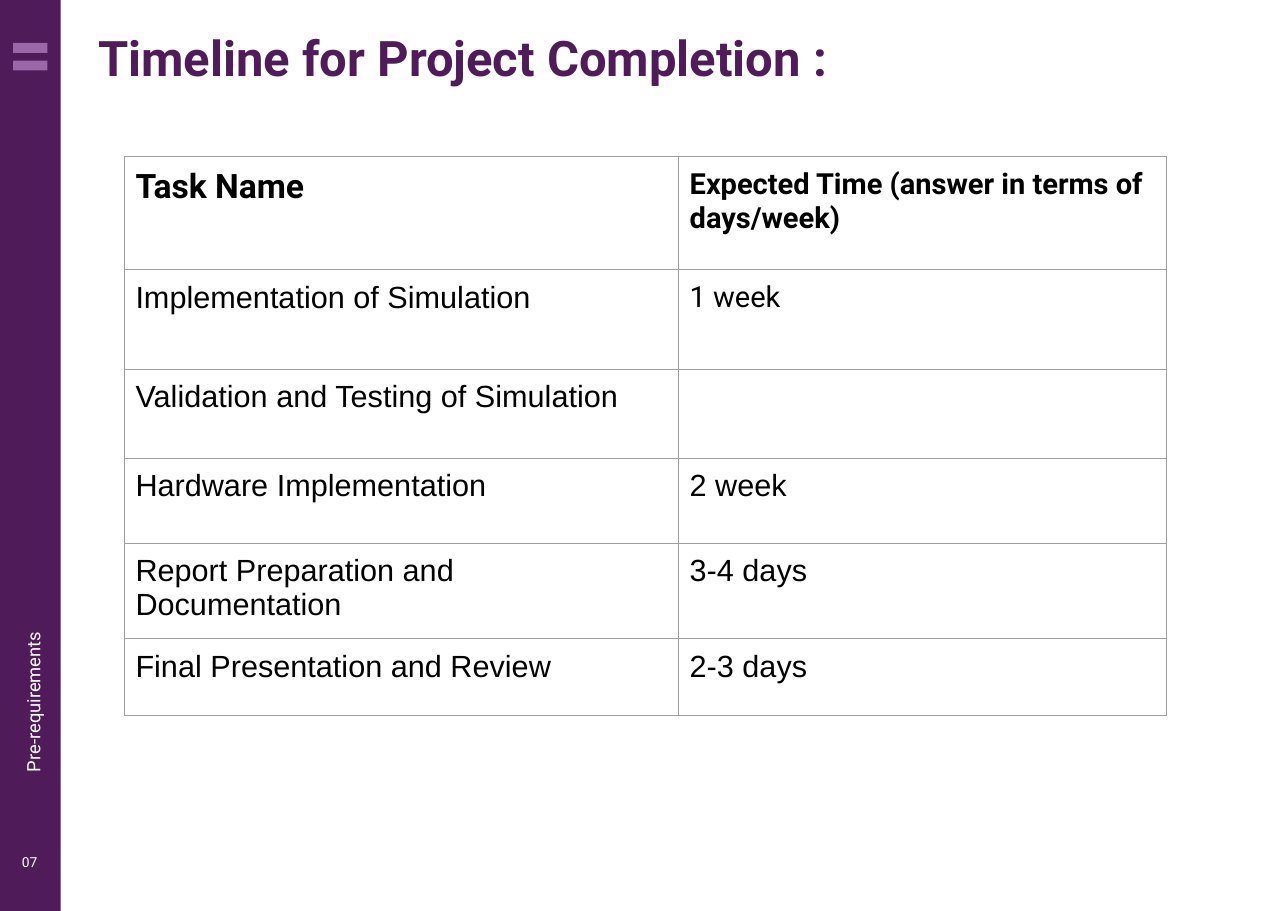
import pptx
import pptx.dml.color
import pptx.enum.shapes
import pptx.enum.text
import pptx.oxml
import pptx.oxml.ns
import pptx.util
from pptx.util import Inches

COLORS = {
    "purple": "4F1B59",
    "lilac": "9C67A8",
    "white": "FFFFFF",
    "black": "000000",
    "grid": "9E9E9E",
}
COLUMN_WIDTHS = [5.03, 4.43]
# Each row: height, then text, font, size and bold for each cell
TASK_ROWS = [
    (1.03, ("Task Name", "Roboto", 22, True),
     ("Expected Time (answer in terms of days/week)", "Roboto", 19, True)),
    (0.9, ("Implementation of Simulation", "Arial", 20, False),
     ("1 week", "Roboto", 19, False)),
    (0.81, ("Validation and Testing of Simulation", "Arial", 20, False),
     ("", "Arial", 20, False)),
    (0.77, ("Hardware Implementation", "Arial", 20, False),
     ("2 week", "Arial", 20, False)),
    (0.86, ("Report Preparation and Documentation", "Arial", 20, False),
     ("3-4 days", "Arial", 20, False)),
    (0.7, ("Final Presentation and Review", "Arial", 20, False),
     ("2-3 days", "Arial", 20, False)),
]


def rgb(name):
    return pptx.dml.color.RGBColor.from_string(COLORS[name])


def format_font(paragraph, font, size, color, bold=False):
    paragraph.font.name = font
    paragraph.font.size = pptx.util.Pt(size)
    paragraph.font.bold = bold
    paragraph.font.color.rgb = rgb(color)


def set_margins(target, side, top):
    """Set the insets of a text frame or a table cell."""
    target.margin_left = target.margin_right = Inches(side)
    target.margin_top = target.margin_bottom = Inches(top)


def add_block(slide, left, top, width, height, color):
    block = slide.shapes.add_shape(
        pptx.enum.shapes.MSO_SHAPE.RECTANGLE,
        Inches(left), Inches(top), Inches(width), Inches(height))
    block.shadow.inherit = False
    block.fill.solid()
    block.fill.fore_color.rgb = rgb(color)
    block.line.fill.background()


def add_label(slide, left, top, width, height, text, size, rotation=0):
    label = slide.shapes.add_textbox(
        Inches(left), Inches(top), Inches(width), Inches(height))
    label.rotation = rotation
    frame = label.text_frame
    frame.word_wrap = rotation != 0
    set_margins(frame, 0, 0)
    frame.margin_top = Inches(0.01)
    frame.text = text
    format_font(frame.paragraphs[0], "Roboto", size, "white")


def add_sidebar(slide, left, top, width, height):
    add_block(slide, left, top, width, height, "purple")
    for row in range(2):
        add_block(slide, left + 0.12, top + 0.39 + row * 0.16, 0.31, 0.09, "lilac")
    add_label(slide, left - 0.76, top + 5.85, 2.11, 0.21,
              "Pre-requirements", 12, rotation=270)
    add_label(slide, left + 0.2, top + 7.74, 0.17, 0.16, "07", 9)


def place_title(slide, left, top, width, height):
    title = slide.shapes.title
    title.left, title.top = Inches(left), Inches(top)
    title.width, title.height = Inches(width), Inches(height)
    frame = title.text_frame
    frame.text = "Timeline for Project Completion :"
    frame.word_wrap = True
    frame.auto_size = pptx.enum.text.MSO_AUTO_SIZE.NONE
    frame.vertical_anchor = pptx.enum.text.MSO_ANCHOR.TOP
    set_margins(frame, 0.1, 0.1)
    paragraph = frame.paragraphs[0]
    paragraph.alignment = pptx.enum.text.PP_ALIGN.LEFT
    format_font(paragraph, "Roboto", 32, "purple", bold=True)


def add_borders(cell):
    properties = cell._tc.get_or_add_tcPr()
    for side in ("lnL", "lnR", "lnT", "lnB"):
        properties.append(pptx.oxml.parse_xml(
            f'<a:{side} {pptx.oxml.ns.nsdecls("a")} w="9525"><a:solidFill>'
            f'<a:srgbClr val="{COLORS["grid"]}"/></a:solidFill></a:{side}>'))


def add_timeline_table(slide, left, top):
    height = sum(row[0] for row in TASK_ROWS)
    table = slide.shapes.add_table(
        len(TASK_ROWS), len(COLUMN_WIDTHS), Inches(left), Inches(top),
        Inches(sum(COLUMN_WIDTHS)), Inches(height)).table
    table.first_row = table.horz_banding = False
    for column, width in zip(table.columns, COLUMN_WIDTHS):
        column.width = Inches(width)
    for row, (row_height, *entries) in zip(table.rows, TASK_ROWS):
        row.height = Inches(row_height)
        for cell, (text, font, size, bold) in zip(row.cells, entries):
            set_margins(cell, 0.1, 0.1)
            add_borders(cell)
            cell.fill.background()
            cell.text = text
            format_font(cell.text_frame.paragraphs[0], font, size, "black", bold)


def main():
    presentation = pptx.Presentation()
    presentation.slide_width = Inches(11.69)
    presentation.slide_height = Inches(8.27)
    slide = presentation.slides.add_slide(presentation.slide_layouts[5])
    add_sidebar(slide, 0, 0, 0.55, 8.27)
    place_title(slide, 0.79, 0.15, 10.06, 0.74)
    add_timeline_table(slide, 1.13, 1.42)
    presentation.save("out.pptx")


if __name__ == "__main__":
    main()
